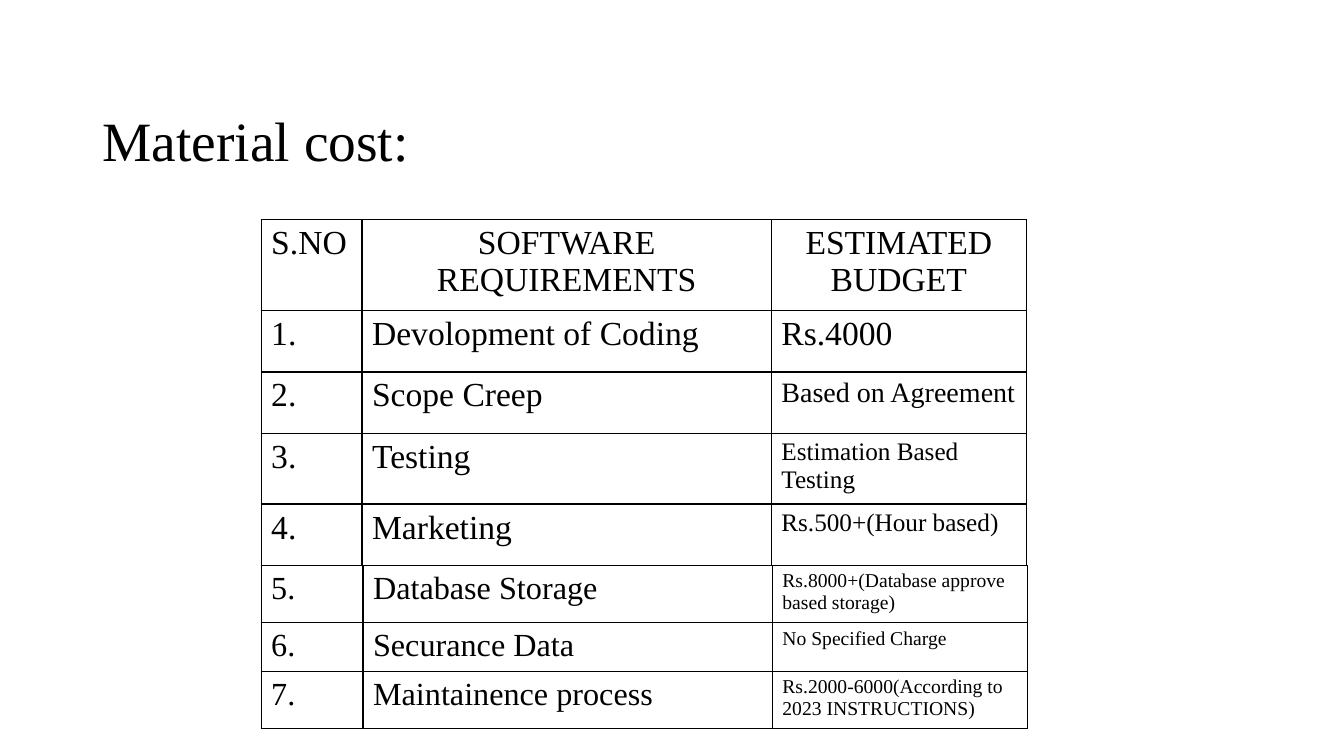
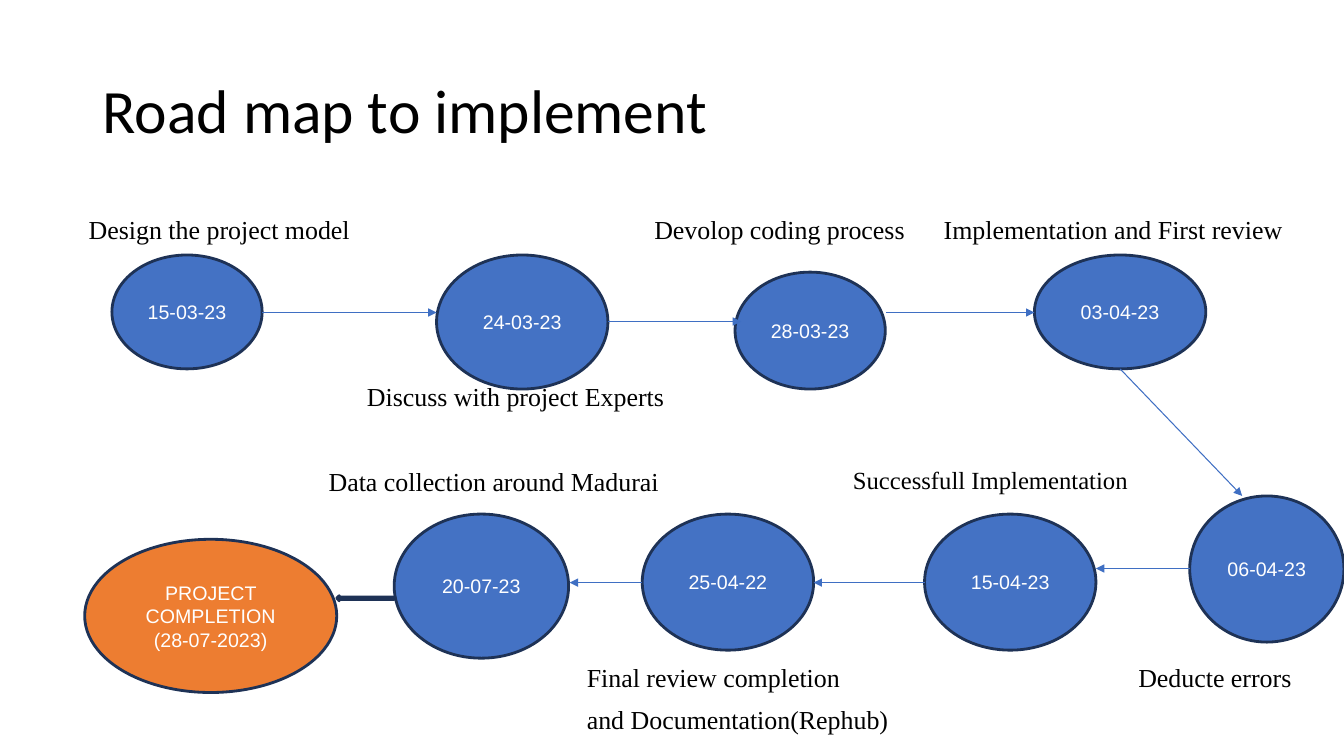
from dataclasses import dataclass

from lxml import etree
from pptx import Presentation
from pptx.dml.color import RGBColor
from pptx.enum.shapes import MSO_CONNECTOR as CONN, MSO_SHAPE as SHAPE
from pptx.enum.text import MSO_ANCHOR as ANCHOR, PP_ALIGN as ALIGN
from pptx.oxml.ns import qn
from pptx.util import Inches, Pt

SLIDE_W, SLIDE_H = 13.33, 7.5


@dataclass(frozen=True)
class Theme:
    ink: str = "000000"
    paper: str = "FFFFFF"
    blue: str = "4472C4"
    orange: str = "ED7D31"
    outline: str = "1E3256"
    arrow: str = "3F6FC3"
    serif: str = "Times New Roman"
    sans: str = "Calibri"
    node_font: str = "Arial"
    title: float = 44
    title_small: float = 39.6
    label: float = 18.5
    label_small: float = 17.6
    node: float = 14


def rgb(value):
    return RGBColor.from_string(value)


class Deck:
    def __init__(self, theme):
        self.theme = theme
        self.prs = Presentation()
        self.prs.slide_width = Inches(SLIDE_W)
        self.prs.slide_height = Inches(SLIDE_H)
        self.slide = None

    def new_slide(self):
        self.slide = self.prs.slides.add_slide(self.prs.slide_layouts[6])

    def add_text(self, tf, lines, size, font, color, align=ALIGN.LEFT,
                 spacing=None, gap=0):
        """Fill a text frame with one paragraph per line."""
        tf.word_wrap = True
        for i, line in enumerate(lines):
            p = tf.add_paragraph() if i else tf.paragraphs[0]
            p.alignment = align
            if spacing:
                p.line_spacing = spacing
            if i:
                p.space_before = Pt(gap)
            r = p.add_run()
            r.text = line
            r.font.size = Pt(size)
            r.font.name = font
            r.font.color.rgb = rgb(color)

    def title(self, text, font, size, top=0.4):
        sp = self.slide.shapes.add_textbox(
            Inches(0.92), Inches(top), Inches(11.5), Inches(1.45))
        sp.text_frame.vertical_anchor = ANCHOR.MIDDLE
        self.add_text(sp.text_frame, [text], size, font, self.theme.ink,
                      spacing=0.9)

    def label(self, left, top, *lines, size=None):
        width = min(3.6, SLIDE_W - left)
        sp = self.slide.shapes.add_textbox(
            Inches(left), Inches(top), Inches(width), Inches(0.27))
        tf = sp.text_frame
        tf.margin_left = tf.margin_right = tf.margin_top = tf.margin_bottom = 0
        self.add_text(tf, lines, size or self.theme.label, self.theme.serif,
                      self.theme.ink, spacing=0.9, gap=10)

    def shape(self, kind, box, fill):
        sp = self.slide.shapes.add_shape(kind, *map(Inches, box))
        sp.shadow.inherit = False
        sp.fill.solid()
        sp.fill.fore_color.rgb = rgb(fill)
        sp.line.color.rgb = rgb(self.theme.outline)
        sp.line.width = Pt(2)
        return sp

    def node(self, box, fill, *lines):
        sp = self.shape(SHAPE.OVAL, box, fill)
        sp.text_frame.vertical_anchor = ANCHOR.MIDDLE
        self.add_text(sp.text_frame, lines, self.theme.node,
                      self.theme.node_font, self.theme.paper, ALIGN.CENTER)

    def arrow(self, start, end):
        cx = self.slide.shapes.add_connector(
            CONN.STRAIGHT, *map(Inches, (*start, *end)))
        cx.line.color.rgb = rgb(self.theme.arrow)
        cx.line.width = Pt(0.75)
        sp_pr = cx._element.spPr
        etree.SubElement(sp_pr.find(qn("a:ln")), qn("a:tailEnd"), type="triangle")
        etree.SubElement(sp_pr, qn("a:effectLst"))

    def border(self, cell):
        tc_pr = cell._tc.get_or_add_tcPr()
        for i, side in enumerate(("lnL", "lnR", "lnT", "lnB")):
            ln = etree.Element(qn(f"a:{side}"), w=str(Pt(1)))
            fill = etree.SubElement(ln, qn("a:solidFill"))
            etree.SubElement(fill, qn("a:srgbClr"), val=self.theme.ink)
            tc_pr.insert(i, ln)

    def table(self, top, col_widths, row_heights, rows, size):
        """Rows hold three texts and the type size of the last one."""
        tbl = self.slide.shapes.add_table(
            len(rows), len(col_widths), Inches(2.59), Inches(top),
            Inches(sum(col_widths)), Inches(sum(row_heights))).table
        tbl.first_row = tbl.horz_banding = False
        for col, width in zip(tbl.columns, col_widths):
            col.width = Inches(width)
        for row, height, (*texts, last_size) in zip(tbl.rows, row_heights, rows):
            row.height = Inches(height)
            for i, (cell, text) in enumerate(zip(row.cells, texts)):
                is_header = texts[0] == "S.NO" and i > 0
                cell.fill.background()
                self.border(cell)
                self.add_text(cell.text_frame, [text],
                              last_size if i == 2 else size,
                              self.theme.serif, self.theme.ink,
                              ALIGN.CENTER if is_header else ALIGN.LEFT)


def cost_slide(deck):
    t = deck.theme
    deck.new_slide()
    deck.title("Material cost:", t.serif, t.title_small, top=0.7)
    deck.table(2.18, (1, 4.06, 2.53), (0.84, 0.61, 0.61, 0.65, 0.61), [
        ("S.NO", "SOFTWARE REQUIREMENTS", "ESTIMATED BUDGET", 24),
        ("1.", "Devolopment of Coding", "Rs.4000", 24),
        ("2.", "Scope Creep", "Based on Agreement", 20),
        ("3.", "Testing", "Estimation Based Testing", 18),
        ("4.", "Marketing", "Rs.500+(Hour based)", 18),
    ], size=24)
    deck.table(5.61, (1.01, 4.06, 2.53), (0.53, 0.46, 0.53), [
        ("5.", "Database Storage", "Rs.8000+(Database approve based storage)", 14),
        ("6.", "Securance Data", "No Specified Charge", 14),
        ("7.", "Maintainence process",
         "Rs.2000-6000(According to 2023 INSTRUCTIONS)", 14),
    ], size=23)


def roadmap_slide(deck):
    t = deck.theme
    deck.new_slide()
    deck.title("Road map to implement", t.sans, t.title)

    deck.label(0.88, 2.15, "Design the project model")
    deck.label(6.49, 2.15, "Devolop coding process")
    deck.label(9.36, 2.15, "Implementation and First review")
    deck.label(3.64, 3.81, "Discuss with project Experts")
    deck.label(3.26, 4.65, "Data collection around Madurai")
    deck.label(8.46, 4.65, "Successfull Implementation", size=t.label_small)
    deck.label(5.82, 6.6, "Final review completion", "and Documentation(Rephub)")
    deck.label(11.29, 6.6, "Deducte errors")

    for date, box in (
        ("15-03-23", (1.11, 2.53, 1.49, 1.13)),
        ("24-03-23", (4.33, 2.53, 1.7, 1.33)),
        ("28-03-23", (7.29, 2.7, 1.49, 1.16)),
        ("03-04-23", (10.26, 2.53, 1.7, 1.13)),
        ("06-04-23", (11.8, 4.92, 1.53, 1.45)),
        ("15-04-23", (9.17, 5.1, 1.7, 1.35)),
        ("25-04-22", (6.37, 5.1, 1.7, 1.35)),
        ("20-07-23", (3.91, 5.1, 1.73, 1.43)),
    ):
        deck.node(box, t.blue, date)
    deck.node((0.84, 5.35, 2.5, 1.52), t.orange,
              "PROJECT COMPLETION", "(28-07-2023)")

    for x1, x2, y in (
        (2.6, 4.33, 3.1), (6.03, 7.35, 3.19), (8.79, 10.26, 3.1),
        (11.8, 10.87, 5.64), (9.17, 8.07, 5.78), (6.37, 5.65, 5.78),
    ):
        deck.arrow((x1, y), (x2, y))
    deck.arrow((11.11, 3.66), (12.32, 4.92))
    deck.shape(SHAPE.LEFT_ARROW, (3.34, 5.91, 0.57, 0.05), t.blue)


def main():
    deck = Deck(Theme())
    cost_slide(deck)
    roadmap_slide(deck)
    deck.prs.save("out.pptx")


if __name__ == "__main__":
    main()
